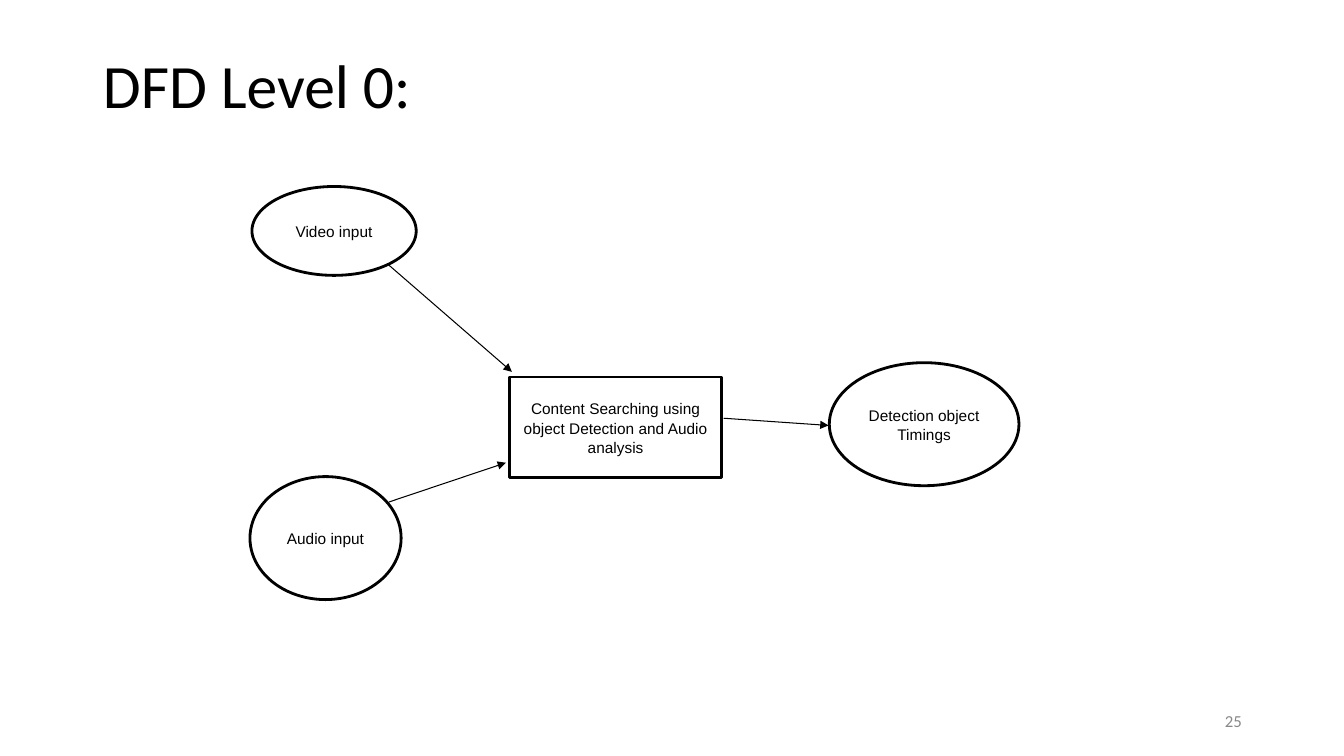
from dataclasses import dataclass
from lxml.etree import SubElement
from pptx import Presentation
from pptx.dml.color import RGBColor
from pptx.enum.shapes import MSO_CONNECTOR, MSO_SHAPE
from pptx.enum.text import MSO_ANCHOR, PP_ALIGN
from pptx.oxml.ns import qn
from pptx.util import Cm, Pt


@dataclass(frozen=True)
class Theme:
    ink: RGBColor = RGBColor(0, 0, 0)
    paper: RGBColor = RGBColor(255, 255, 255)
    gray: RGBColor = RGBColor(0x88, 0x88, 0x88)
    head: str = "Calibri"
    body: str = "Arial"
    title: Pt = Pt(44)
    label: Pt = Pt(11)
    number: Pt = Pt(12)


theme = Theme()


def write(shape, text, font, size, color, align):
    frame = shape.text_frame
    frame.text = text
    frame.word_wrap = True
    frame.vertical_anchor = MSO_ANCHOR.MIDDLE
    para = frame.paragraphs[0]
    para.alignment = align
    para.font.name, para.font.size = font, size
    para.font.color.rgb = color
    return para


deck = Presentation()
deck.slide_width, deck.slide_height = Cm(33.87), Cm(19.05)
slide = deck.slides.add_slide(deck.slide_layouts[5])
shapes = slide.shapes

title = shapes.title
title.left, title.top, title.width, title.height = map(Cm, (2.34, 1.02, 29.21, 2.44))
para = write(title, "DFD Level 0:", theme.head, theme.title, theme.ink, PP_ALIGN.LEFT)
para.line_spacing = 0.9

number = shapes.add_textbox(Cm(23.93), Cm(17.65), Cm(7.62), Cm(1.02))
write(number, "25", theme.head, theme.number, theme.gray, PP_ALIGN.RIGHT)

# Process and its inputs and output: outline, left, top, width, height
nodes = [
    ("Content Searching using object Detection and Audio analysis",
     MSO_SHAPE.RECTANGLE, 12.85, 9.5, 5.33, 2.54),
    ("Audio input", MSO_SHAPE.OVAL, 6.3, 12.01, 3.81, 3.1),
    ("Detection object Timings", MSO_SHAPE.OVAL, 20.9, 9.14, 4.78, 3.1),
    ("Video input", MSO_SHAPE.OVAL, 6.35, 4.7, 4.14, 2.24),
]
for text, kind, *box in nodes:
    node = shapes.add_shape(kind, *map(Cm, box))
    node.shadow.inherit = False
    node.fill.solid()
    node.fill.fore_color.rgb = theme.paper
    node.line.color.rgb = theme.ink
    node.line.width = Pt(2)
    para = write(node, text, theme.body, theme.label, theme.ink, PP_ALIGN.CENTER)
    para.line_spacing = 1.07
    para.space_after = Pt(8)

# Data flows: start x, y and end x, y
flows = [
    (9.8, 6.68, 12.9, 9.37),
    (9.8, 12.65, 12.75, 11.66),
    (18.24, 10.54, 20.88, 10.72),
]
for ends in flows:
    flow = shapes.add_connector(MSO_CONNECTOR.STRAIGHT, *map(Cm, ends))
    flow.line.color.rgb = theme.ink
    flow.line.width = Pt(0.75)
    SubElement(flow.line._get_or_add_ln(), qn("a:tailEnd"), type="triangle")
    SubElement(flow._element.spPr, qn("a:effectLst"))

deck.save("out.pptx")
